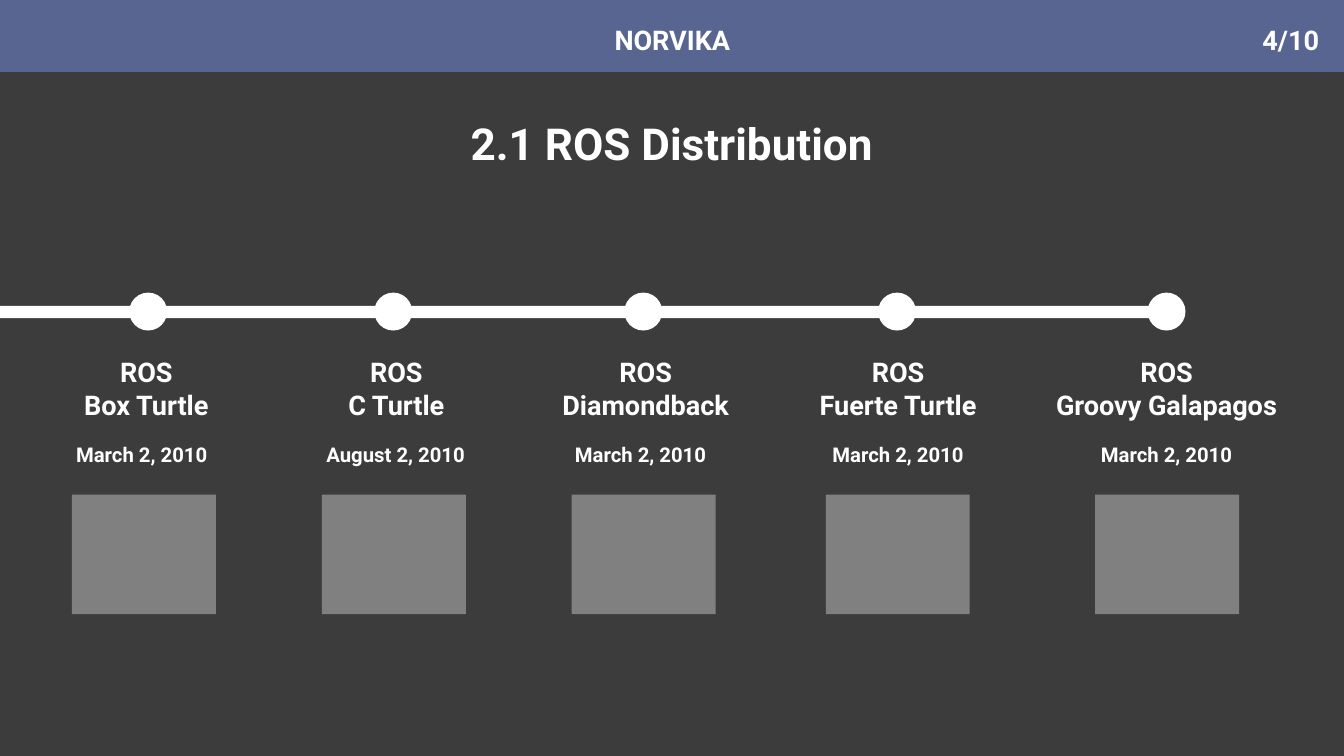
"""Builds the timeline slide of ROS distributions."""
from pptx import Presentation
from pptx.dml.color import RGBColor as Rgb
from pptx.enum.shapes import MSO_SHAPE as Kind
from pptx.enum.text import MSO_AUTO_SIZE as Fit, PP_ALIGN as Align
from pptx.util import Pt

HUES = {"back": "3C3C3C", "bar": "596591", "white": "FFFFFF", "card": "808080"}

deck = Presentation()
deck.slide_width, deck.slide_height = Pt(793.44), Pt(446.4)
slide = deck.slides.add_slide(deck.slide_layouts[6])
slide.background.fill.solid()
slide.background.fill.fore_color.rgb = Rgb.from_string(HUES["back"])


def add_text(text, left, top, width, height, size=16, align=Align.CENTER):
    box = slide.shapes.add_textbox(Pt(left), Pt(top), Pt(width), Pt(height))
    frame = box.text_frame
    frame.word_wrap = True
    frame.auto_size = Fit.SHAPE_TO_FIT_TEXT
    frame.text = text
    for para in frame.paragraphs:
        para.alignment = align
        font = para.font
        font.name, font.size, font.bold = "Roboto", Pt(size), True
        font.color.rgb = Rgb.from_string(HUES["white"])


def add_shape(kind, hue, left, top, width, height):
    shape = slide.shapes.add_shape(kind, Pt(left), Pt(top), Pt(width), Pt(height))
    shape.shadow.inherit = False
    shape.fill.solid()
    shape.fill.fore_color.rgb = Rgb.from_string(HUES[hue])
    shape.line.fill.background()


add_shape(Kind.RECTANGLE, "bar", 0, 0, 793.44, 42.5)
add_text("NORVIKA", 142.5, 10, 509, 26)
add_text("4/10", 725.8, 10, 60, 26, align=Align.RIGHT)
add_text("2.1 ROS Distribution", 90.7, 65.5, 612, 37.5, size=26)
add_shape(Kind.RECTANGLE, "white", 0, 180.7, 697.7, 7.2)

# Each stop: name, date, then the centres of dot, name, date and card.
stops = [
    ("Box Turtle", "March 2, 2010", 87.5, 86.4, 83.7, 85),
    ("C Turtle", "August 2, 2010", 232.2, 234, 233.6, 232.5),
    ("Diamondback", "March 2, 2010", 379.8, 381.2, 378.2, 380),
    ("Fuerte Turtle", "March 2, 2010", 529.6, 530.2, 530.2, 530),
    ("Groovy Galapagos", "March 2, 2010", 688.7, 688.7, 688.7, 689),
]
for name, date, dot, label, day, card in stops:
    add_shape(Kind.OVAL, "white", dot - 11.2, 172.8, 22.4, 22.4)
    add_text(f"ROS\n{name}", label - 74, 206.6, 148, 44.6)
    add_text(date, day - 68, 257.8, 136, 20.9, size=12)
    add_shape(Kind.RECTANGLE, "card", card - 42.5, 292.1, 85, 70.6)

deck.save("out.pptx")
